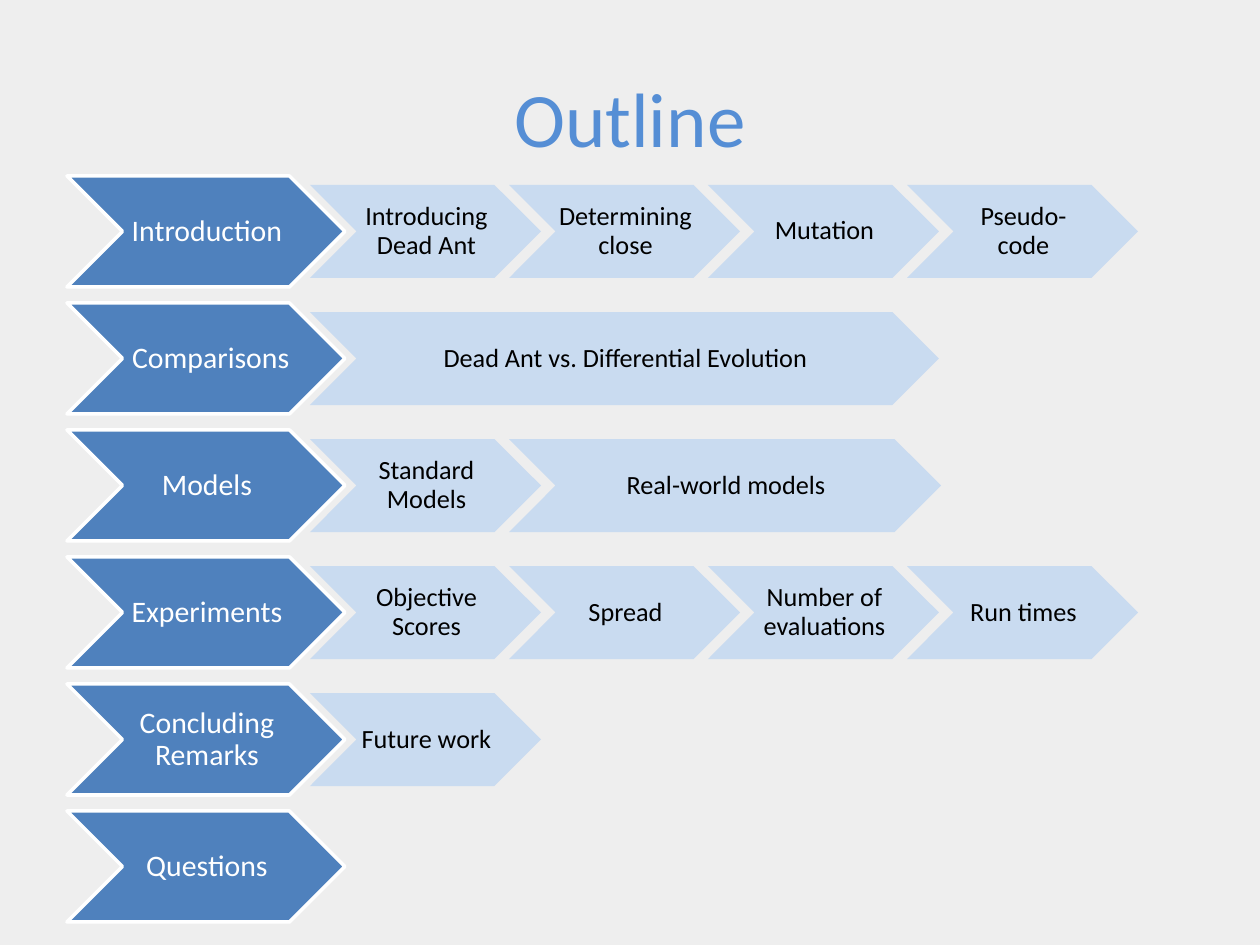
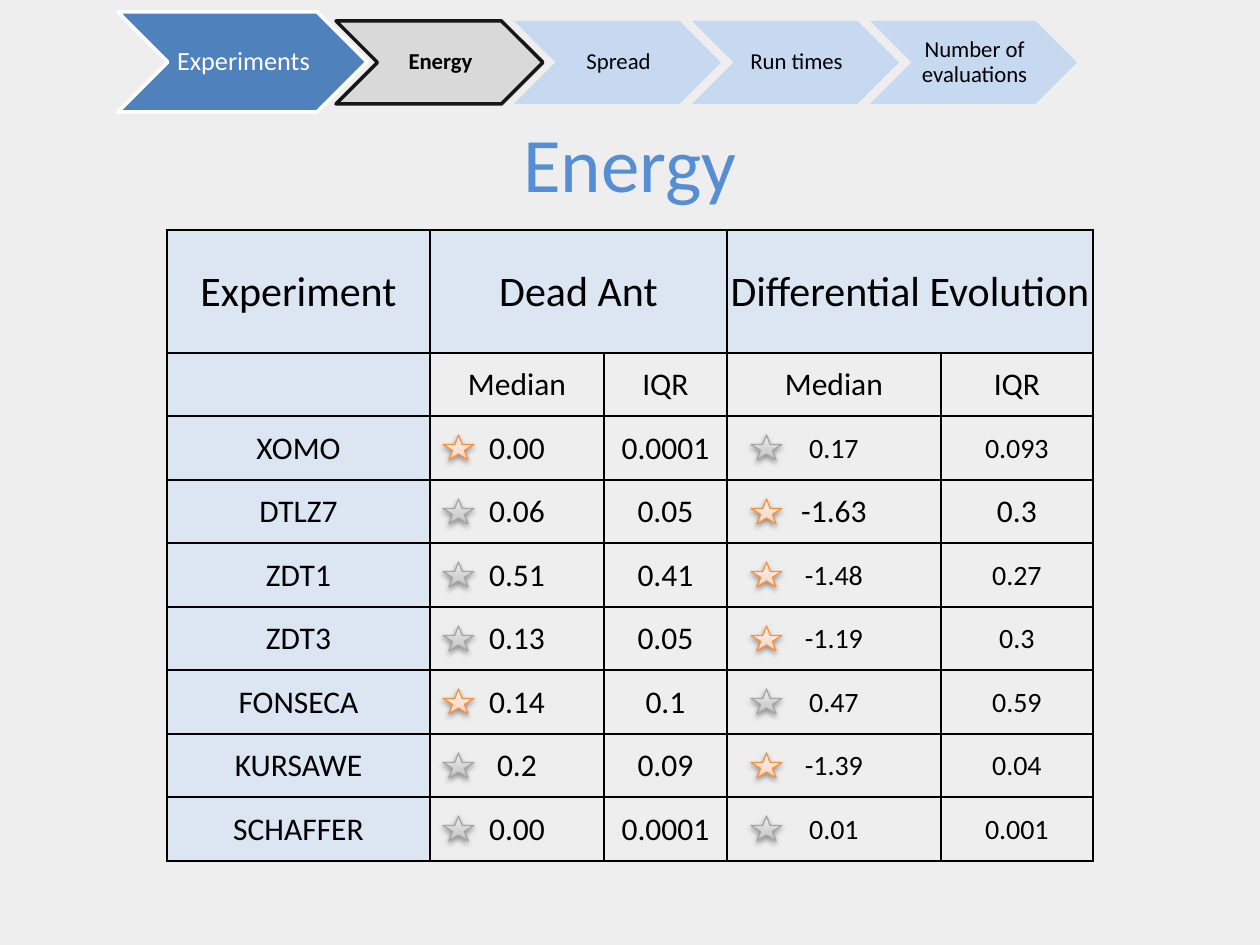
import itertools

import lxml.etree
import pptx
import pptx.dml.color
import pptx.enum.shapes
import pptx.enum.text
import pptx.oxml.ns
import pptx.util

EMU_PER_PX = 914400 / 126
SHAPE = pptx.enum.shapes.MSO_SHAPE
ALIGN = pptx.enum.text.PP_ALIGN
MIDDLE = pptx.enum.text.MSO_ANCHOR.MIDDLE

# Shared colours
BACKGROUND = "EEEEEE"
TITLE_BLUE = "558ED5"
HEAD_BLUE = "4F81BD"
STEP_BLUE = "C6D9F1"
CELL_BLUE = "DCE6F2"
ACTIVE_GREY = "D9D9D9"
BLACK, WHITE = "000000", "FFFFFF"
WINNER = ("F69240", ["FFD2BD", "FFDED0", "FFF2ED"])
LOSER = ("A6A6A6", ["BDBDBD", "D1D1D1", "EEEEEE"])


def px(length):
    return pptx.util.Emu(round(length * EMU_PER_PX))


def rgb(value):
    return pptx.dml.color.RGBColor.from_string(value)


def add_node(parent, tag, **attributes):
    return lxml.etree.SubElement(parent, pptx.oxml.ns.qn("a:" + tag), attributes)


def add_color(parent, color, alpha=100):
    node = add_node(parent, "srgbClr", val=color)
    if alpha < 100:
        add_node(node, "alpha", val=str(alpha * 1000))


def set_alpha(parent, percent):
    color = parent.find(".//" + pptx.oxml.ns.qn("a:srgbClr"))
    add_node(color, "alpha", val=str(percent * 1000))


class Builder:
    font = "Calibri"

    def __init__(self):
        self.deck = pptx.Presentation()
        self.deck.slide_width, self.deck.slide_height = px(1260), px(945)
        self.page = None

    def new_page(self):
        self.page = self.deck.slides.add_slide(self.deck.slide_layouts[6])
        fill = self.page.background.fill
        fill.solid()
        fill.fore_color.rgb = rgb(BACKGROUND)

    def set_text(self, frame, text, size, color, bold=False, align=ALIGN.CENTER):
        frame.text = text
        para = frame.paragraphs[0]
        para.alignment = align
        for span in para.runs:
            span.font.name = self.font
            span.font.size = pptx.util.Pt(size)
            span.font.color.rgb = rgb(color)
            span.font.bold = bold
        return para

    def title(self, text, top):
        box = self.page.shapes.add_textbox(px(63), px(top), px(1134), px(158))
        frame = box.text_frame
        frame.word_wrap = True
        frame.vertical_anchor = MIDDLE
        self.set_text(frame, text, 44, TITLE_BLUE)

    def shape(self, kind, left, top, width, height):
        shape = self.page.shapes.add_shape(kind, px(left), px(top), px(width), px(height))
        shape.shadow.inherit = False
        return shape

    def chevron(self, left, top, width, height, text, size, fill, color=BLACK,
                line=None, alpha=100, line_alpha=100, bold=False, align=ALIGN.CENTER):
        shape = self.shape(SHAPE.CHEVRON, left, top, width, height)
        shape.fill.solid()
        shape.fill.fore_color.rgb = rgb(fill)
        properties = shape.element.spPr
        if alpha < 100:
            set_alpha(properties, alpha)
        if line:
            shape.line.color.rgb = rgb(line)
            shape.line.width = pptx.util.Pt(2)
            if line_alpha < 100:
                set_alpha(properties.find(pptx.oxml.ns.qn("a:ln")), line_alpha)
        else:
            shape.line.fill.background()
        frame = shape.text_frame
        frame.word_wrap = True
        frame.vertical_anchor = MIDDLE
        frame.margin_left, frame.margin_right = px(2), 0
        frame.margin_top = frame.margin_bottom = px(1)
        self.set_text(frame, text, size, color, bold, align).line_spacing = 0.9

    def star(self, left, top, style):
        outline, stops = style
        shape = self.shape(SHAPE.STAR_5_POINT, left, top, 31, 25)
        shape.line.color.rgb = rgb(outline)
        shape.line.width = pptx.util.Pt(0.75)
        shape.fill.gradient()
        shape.fill.gradient_angle = 90
        properties = shape.element.spPr
        stop_list = properties.find(".//" + pptx.oxml.ns.qn("a:gsLst"))
        for stop in list(stop_list):
            stop_list.remove(stop)
        for position, color in zip((0, 35, 100), stops):
            add_color(add_node(stop_list, "gs", pos=str(position * 1000)), color)
        effects = properties.find(pptx.oxml.ns.qn("a:effectLst"))
        shadow = add_node(effects, "outerShdw", blurRad="39370", dist="20320",
                          dir="5400000", rotWithShape="0")
        add_color(shadow, BLACK, 38)

    def table(self, left, top, widths, heights):
        frame = self.page.shapes.add_table(len(heights), len(widths), px(left), px(top),
                                           px(sum(widths)), px(sum(heights)))
        table = frame.table
        table.first_row = table.horz_banding = False
        for column, width in zip(table.columns, widths):
            column.width = px(width)
        for row, height in zip(table.rows, heights):
            row.height = px(height)
        return table

    def cell(self, cell, text, size, fill=None):
        cell.vertical_anchor = MIDDLE
        cell.margin_left = cell.margin_right = cell.margin_top = px(1)
        cell.margin_bottom = 0
        properties = cell._tc.get_or_add_tcPr()
        for side in ("lnL", "lnR", "lnT", "lnB"):
            border = add_node(properties, side, w="12700")
            add_color(add_node(border, "solidFill"), BLACK)
        if fill:
            cell.fill.solid()
            cell.fill.fore_color.rgb = rgb(fill)
        else:
            cell.fill.background()
        if text:
            self.set_text(cell.text_frame, text, size, BLACK)


# Outline slide: heading, then steps with their widths
STEP = 231
OUTLINE = [
    ("Introduction", [("Introducing Dead Ant", STEP), ("Determining close", STEP),
                      ("Mutation", STEP), ("Pseudo-code", STEP)]),
    ("Comparisons", [("Dead Ant vs. Differential Evolution", 629)]),
    ("Models", [("Standard Models", STEP), ("Real-world models", 432)]),
    ("Experiments", [("Objective Scores", STEP), ("Spread", STEP),
                     ("Number of evaluations", STEP), ("Run times", STEP)]),
    ("Concluding Remarks", [("Future work", STEP)]),
    ("Questions", []),
]


def build_outline(builder):
    builder.new_page()
    builder.title("Outline", 38)
    for row, (heading, steps) in enumerate(OUTLINE):
        top = 176 + 127 * row
        align = ALIGN.RIGHT if heading == "Comparisons" else ALIGN.CENTER
        builder.chevron(67, top, 278, 111, heading, 17, HEAD_BLUE, WHITE,
                        line=WHITE, align=align)
        left = 310
        for text, width in steps:
            builder.chevron(left, top + 9, width, 93, text, 15, STEP_BLUE, alpha=90)
            left += width - 32


# Energy slide: name, median and IQR of each method, winner of the row
RESULTS = [
    ("XOMO", "0.00", "0.0001", "0.17", "0.093", "ant"),
    ("DTLZ7", "0.06", "0.05", "-1.63", "0.3", "evolution"),
    ("ZDT1", "0.51", "0.41", "-1.48", "0.27", "evolution"),
    ("ZDT3", "0.13", "0.05", "-1.19", "0.3", "evolution"),
    ("FONSECA", "0.14", "0.1", "0.47", "0.59", "ant"),
    ("KURSAWE", "0.2", "0.09", "-1.39", "0.04", "evolution"),
    ("SCHAFFER", "0.00", "0.0001", "0.01", "0.001", None),
]
STAR_LEFTS = {"ant": 443, "evolution": 751}


def build_energy(builder):
    builder.new_page()

    # Results table
    top = 230
    heights = [123] + 4 * [63, 64]
    table = builder.table(167, top, [263, 174, 123, 214, 152], heights)
    rows = [("Experiment", "Dead Ant", "", "Differential Evolution", ""),
            ("", "Median", "IQR", "Median", "IQR")] + [result[:5] for result in RESULTS]
    for row, texts in enumerate(rows):
        for column, text in enumerate(texts):
            smaller = row > 1 and column > 2 and texts[0] != "DTLZ7"
            size = 24 if row == 0 else 16 if smaller else 18
            fill = CELL_BLUE if row == 0 or column == 0 else None
            builder.cell(table.cell(row, column), text, size, fill)
    for column in (1, 3):
        table.cell(0, column).merge(table.cell(0, column + 1))

    # Stars beside the medians
    row_tops = list(itertools.accumulate(heights, initial=top))[2:]
    for result, row_top in zip(RESULTS, row_tops):
        for method, left in STAR_LEFTS.items():
            builder.star(left, row_top + 19, WINNER if result[5] == method else LOSER)

    builder.title("Energy", 83)

    # Progress band
    builder.chevron(118, 12, 249, 100, "Experiments", 15, HEAD_BLUE, WHITE, line=WHITE)
    for index, text in enumerate(["Energy", "Spread", "Run times", "Number of evaluations"]):
        if text == "Energy":
            look = dict(fill=ACTIVE_GREY, line=BLACK, line_alpha=90, bold=True)
        else:
            look = dict(fill=STEP_BLUE)
        builder.chevron(336 + 178 * index, 21, 207, 83, text, 13, **look)


def main():
    builder = Builder()
    build_outline(builder)
    build_energy(builder)
    builder.deck.save("out.pptx")


if __name__ == "__main__":
    main()
